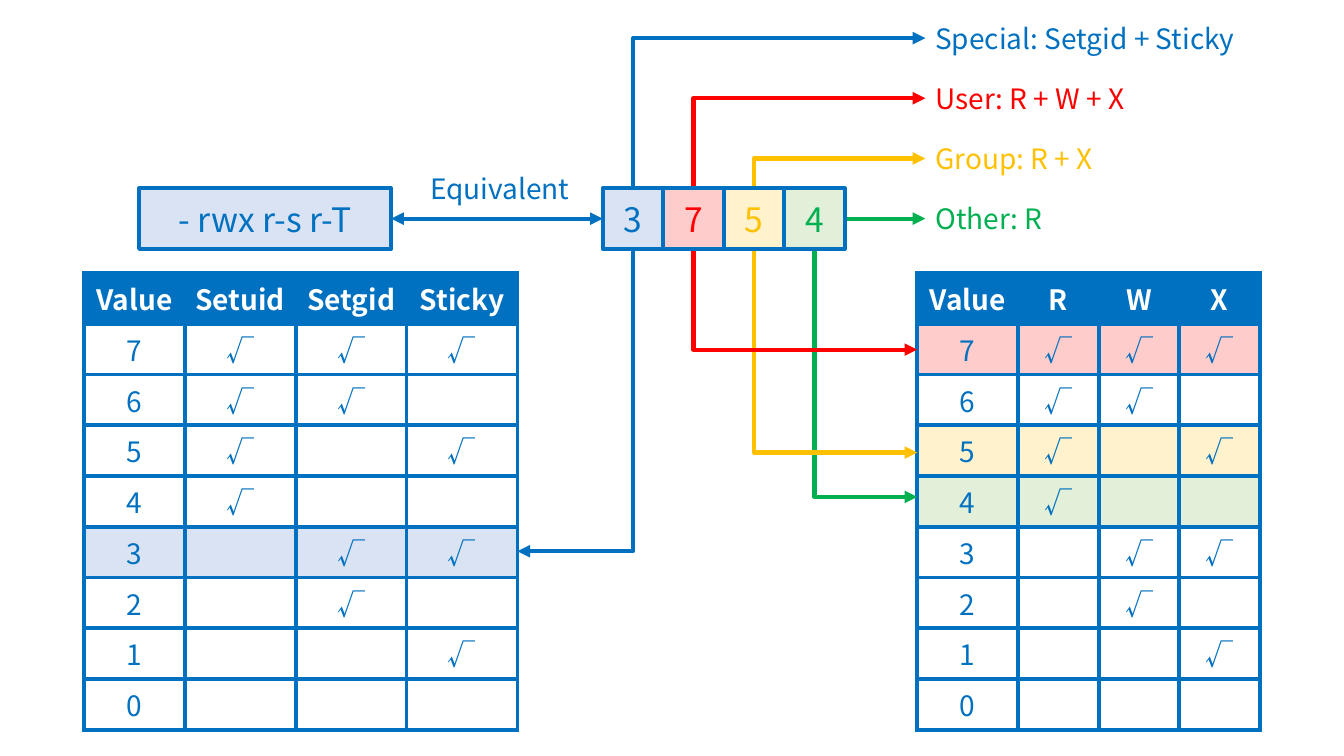
from lxml import etree
from pptx import Presentation
from pptx.dml.color import RGBColor
from pptx.enum.shapes import MSO_CONNECTOR, MSO_SHAPE
from pptx.enum.text import MSO_ANCHOR, PP_ALIGN
from pptx.oxml import parse_xml
from pptx.oxml.ns import nsdecls, qn
from pptx.util import Pt

FONT = "Noto Sans CJK SC"
BLUE, RED, YELLOW, GREEN = "0070C0", "FF0000", "FFC000", "00B050"
PALE_BLUE, PALE_RED, PALE_YELLOW, PALE_GREEN = "DAE3F3", "FFCCCC", "FFF2CC", "E2F0D9"
WHITE = "FFFFFF"

LINE = 3
BOX = 43.2
BOX_LEFT, BOX_TOP = 430.6, 134.6
BOX_BOTTOM = BOX_TOP + BOX
MIDDLE = BOX_TOP + BOX / 2
MODE_LEFT, MODE_WIDTH = 99.4, 180
LABEL_LEFT, LABEL_HEIGHT, LABEL_STEP = 661, 36, 43
TABLE_TOP, ROW_HEIGHT = 195, 36
SPECIAL_LEFT, PERMISSION_LEFT = 60, 655.2
SPECIAL_WIDTHS = [72, 79.2, 79.2, 79.2]
PERMISSION_WIDTHS = [72, 57.6, 57.6, 57.6]

# digit, colour, box fill, label, label width, height of the matching table row
DIGITS = [
    ("3", BLUE, PALE_BLUE, "Special: Setgid + Sticky", 252, 393.8),
    ("7", RED, PALE_RED, "User: R + W + X", 180, 249.8),
    ("5", YELLOW, PALE_YELLOW, "Group: R + X", 180, 323.3),
    ("4", GREEN, PALE_GREEN, "Other: R", 180, 355),
]


def rgb(color):
    return RGBColor.from_string(color)


def write(tf, text, size=20, color=BLUE, bold=False, align=PP_ALIGN.CENTER):
    p = tf.paragraphs[0]
    p.alignment = align
    r = p.add_run()
    r.text = text
    r.font.name = FONT
    r.font.size = Pt(size)
    r.font.bold = bold
    r.font.color.rgb = rgb(color)


def add_box(slide, left, width, text, color, fill):
    sp = slide.shapes.add_shape(
        MSO_SHAPE.RECTANGLE, Pt(left), Pt(BOX_TOP), Pt(width), Pt(BOX))
    sp.shadow.inherit = False
    sp.fill.solid()
    sp.fill.fore_color.rgb = rgb(fill)
    sp.line.color.rgb = rgb(BLUE)
    sp.line.width = Pt(LINE)
    sp.text_frame.vertical_anchor = MSO_ANCHOR.MIDDLE
    write(sp.text_frame, text, size=24, color=color)


def add_label(slide, left, top, width, text, color):
    sp = slide.shapes.add_textbox(Pt(left), Pt(top), Pt(width), Pt(LABEL_HEIGHT))
    tf = sp.text_frame
    tf.word_wrap = True
    tf.vertical_anchor = MSO_ANCHOR.MIDDLE
    write(tf, text, color=color, align=PP_ALIGN.LEFT)


def add_arrow(slide, tip, start, color, both=False):
    """Draw an arrow to tip; when bent, it leaves start vertically."""
    bent = tip[1] != start[1]
    kind = MSO_CONNECTOR.ELBOW if bent else MSO_CONNECTOR.STRAIGHT
    cxn = slide.shapes.add_connector(kind, *map(Pt, (*tip, *start)))
    cxn.line.color.rgb = rgb(color)
    cxn.line.width = Pt(LINE)
    if bent:
        guides = cxn._element.spPr.find(qn("a:prstGeom")).get_or_add_avLst()
        etree.SubElement(guides, qn("a:gd"), name="adj1", fmla="val 100000")
    ln = cxn.line._get_or_add_ln()
    etree.SubElement(ln, qn("a:headEnd"), type="triangle")
    if both:
        etree.SubElement(ln, qn("a:tailEnd"), type="triangle")
    etree.SubElement(cxn._element.spPr, qn("a:effectLst"))


def format_cell(cell, fill):
    tcPr = cell._tc.get_or_add_tcPr()
    for side in "LRTB":
        tcPr.append(parse_xml(
            f'<a:ln{side} {nsdecls("a")} w="{Pt(LINE)}"><a:solidFill>'
            f'<a:srgbClr val="{BLUE}"/></a:solidFill></a:ln{side}>'))
    cell.vertical_anchor = MSO_ANCHOR.MIDDLE
    if fill:
        cell.fill.solid()
        cell.fill.fore_color.rgb = rgb(fill)
    else:
        cell.fill.background()


def add_bit_table(slide, left, widths, names, row_fills):
    """List the values 7 to 0 and tick the bits that each one sets."""
    frame = slide.shapes.add_table(
        9, 4, Pt(left), Pt(TABLE_TOP), Pt(sum(widths)), Pt(9 * ROW_HEIGHT))
    table = frame.table
    for column, width in zip(table.columns, widths):
        column.width = Pt(width)
    for row in table.rows:
        row.height = Pt(ROW_HEIGHT)
    for col, name in enumerate(["Value", *names]):
        cell = table.cell(0, col)
        format_cell(cell, BLUE)
        write(cell.text_frame, name, color=WHITE, bold=True)
    for value in range(8):
        ticks = ["√" if value & bit else "" for bit in (4, 2, 1)]
        for col, text in enumerate([str(value), *ticks]):
            cell = table.cell(8 - value, col)
            format_cell(cell, row_fills.get(value))
            if text:
                write(cell.text_frame, text)


def main():
    prs = Presentation()
    prs.slide_width, prs.slide_height = Pt(960), Pt(540)
    slide = prs.slides.add_slide(prs.slide_layouts[6])

    add_bit_table(slide, SPECIAL_LEFT, SPECIAL_WIDTHS,
                  ["Setuid", "Setgid", "Sticky"], {3: PALE_BLUE})
    add_bit_table(slide, PERMISSION_LEFT, PERMISSION_WIDTHS, ["R", "W", "X"],
                  {7: PALE_RED, 5: PALE_YELLOW, 4: PALE_GREEN})

    special_right = SPECIAL_LEFT + sum(SPECIAL_WIDTHS)
    boxes_right = BOX_LEFT + len(DIGITS) * BOX
    for i, (digit, color, fill, label, width, row_y) in reversed(list(enumerate(DIGITS))):
        x = BOX_LEFT + (i + 0.5) * BOX
        label_y = MIDDLE - (len(DIGITS) - 1 - i) * LABEL_STEP
        start = (boxes_right, MIDDLE) if label_y == MIDDLE else (x, BOX_TOP)
        table_x = special_right if i == 0 else PERMISSION_LEFT
        add_arrow(slide, (LABEL_LEFT, label_y), start, color)
        add_arrow(slide, (table_x, row_y), (x, BOX_BOTTOM), color)
        add_label(slide, LABEL_LEFT, label_y - LABEL_HEIGHT / 2, width, label, color)
    for i, (digit, color, fill, *_) in enumerate(DIGITS):
        add_box(slide, BOX_LEFT + i * BOX, BOX, digit, color, fill)

    add_box(slide, MODE_LEFT, MODE_WIDTH, "- rwx r-s r-T", BLUE, PALE_BLUE)
    add_label(slide, 300.2, 116.6, 115.2, "Equivalent", BLUE)
    add_arrow(slide, (MODE_LEFT + MODE_WIDTH, MIDDLE), (BOX_LEFT, MIDDLE), BLUE, both=True)

    prs.save("out.pptx")


if __name__ == "__main__":
    main()
